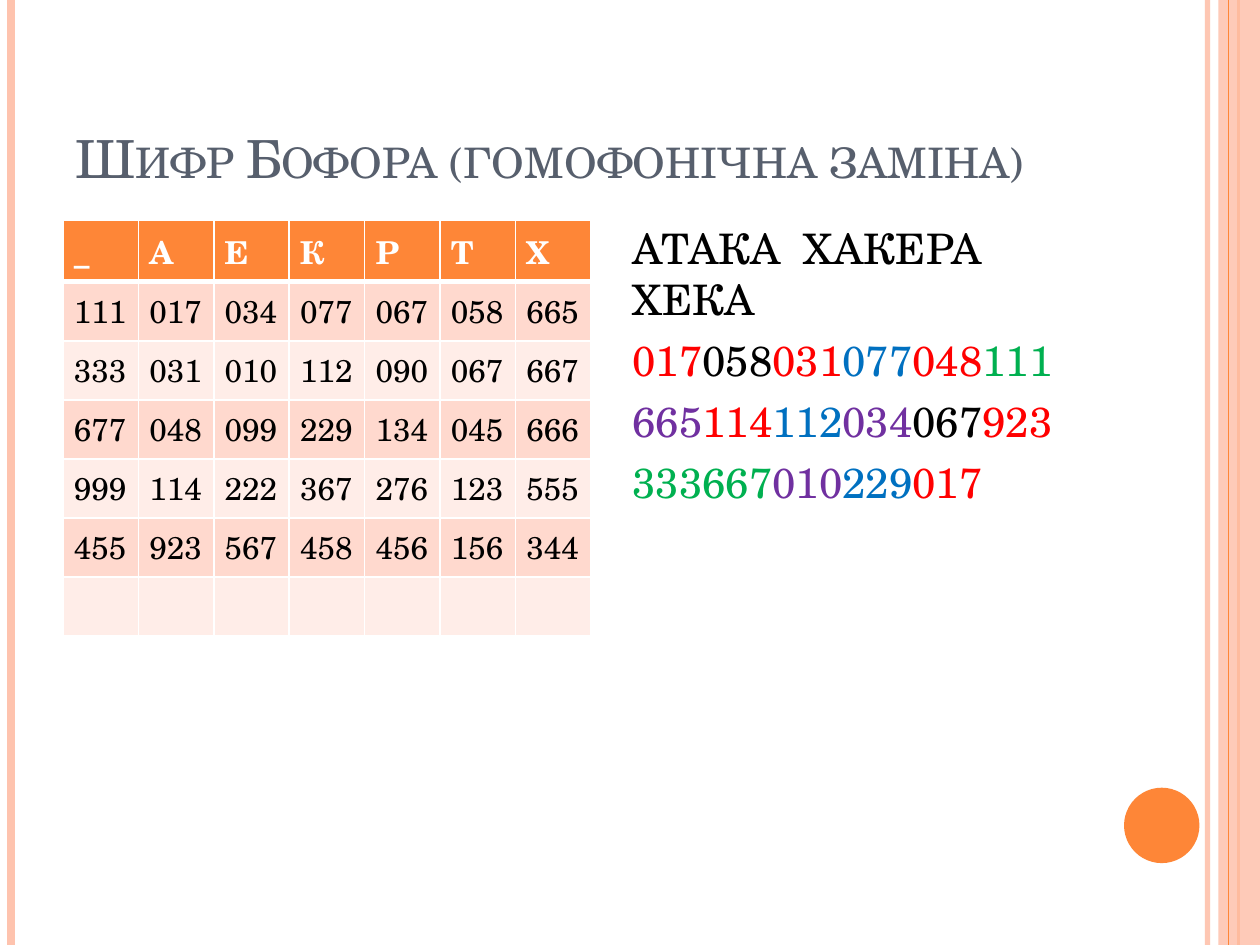
"""Builds the slide on the Beaufort homophonic cipher."""
import enum
import pptx
import pptx.dml.color
import pptx.enum.shapes
import pptx.enum.text
import pptx.oxml
import pptx.oxml.ns
import pptx.util

Cm = pptx.util.Cm
Pt = pptx.util.Pt
space = pptx.oxml.ns.nsdecls("a")


class Theme(enum.Enum):
    FONT = "TeX Gyre Schola"
    TITLE = 30
    BODY = 24
    CELL = 18
    ORANGE = "FE8637"
    PEACH = "FEC3AE"
    SLATE = "575F6D"
    WHITE = "FFFFFF"
    BANDS = ("FFEDE8", "FFD9CE")
    INKS = {"k": "000000", "r": "FF0000", "b": "0070C0", "g": "00B050", "p": "7030A0"}


def rgb(code):
    return pptx.dml.color.RGBColor.from_string(code)


def style(para, size, code=None, bold=False):
    font = para.font
    font.name, font.size, font.bold = Theme.FONT.value, Pt(size.value), bold
    if code:
        font.color.rgb = rgb(code)


deck = pptx.Presentation()
deck.slide_width, deck.slide_height = Cm(25.4), Cm(19.05)
slide = deck.slides.add_slide(deck.slide_layouts[6])
shapes = slide.shapes
kinds = pptx.enum.shapes.MSO_SHAPE
link = pptx.enum.shapes.MSO_CONNECTOR.STRAIGHT

decor = [
    (None, 24.34, 0, 3, 19.05, Theme.PEACH, 93),
    (None, 0.22, 0, 4.5, 19.05, Theme.PEACH, 100),
    (None, 24.97, 0, 1.5, 19.05, Theme.ORANGE, 100),
    (kinds.RECTANGLE, 24.56, 0, 0.84, 19.05, Theme.PEACH, 87),
    (None, 24.77, 0, 0.75, 19.05, Theme.ORANGE, 100),
    (kinds.OVAL, 22.66, 15.88, 1.52, 1.52, Theme.ORANGE, 100),
]
for kind, left, top, width, height, tone, alpha in decor:
    if kind is None:
        shape = shapes.add_connector(link, Cm(left), Cm(top), Cm(left), Cm(height))
        shape.line.color.rgb = rgb(tone.value)
        shape.line.width = Pt(width)
        shape.element.spPr.append(pptx.oxml.parse_xml(f"<a:effectLst {space}/>"))
    else:
        shape = shapes.add_shape(kind, Cm(left), Cm(top), Cm(width), Cm(height))
        shape.shadow.inherit = False
        shape.fill.solid()
        shape.fill.fore_color.rgb = rgb(tone.value)
        shape.line.fill.background()
    if alpha < 100:
        color = shape.element.spPr.find(".//" + pptx.oxml.ns.qn("a:srgbClr"))
        color.append(pptx.oxml.parse_xml(f'<a:alpha {space} val="{alpha * 1000}"/>'))

title = shapes.add_textbox(Cm(1.27), Cm(0.76), Cm(20.75), Cm(3.18)).text_frame
title.word_wrap = True
title.vertical_anchor = pptx.enum.text.MSO_ANCHOR.BOTTOM
head = title.paragraphs[0]
run = head.add_run()
run.text = "Шифр Бофора (гомофонічна заміна)"
run.font._element.set("cap", "small")
style(head, Theme.TITLE, Theme.SLATE.value)

rows = [line.split() for line in (
    "_ А Е К Р Т Х",
    "111 017 034 077 067 058 665",
    "333 031 010 112 090 067 667",
    "677 048 099 229 134 045 666",
    "999 114 222 367 276 123 555",
    "455 923 567 458 456 156 344",
)] + [[""] * 7]
table = shapes.add_table(7, 7, Cm(1.27), Cm(4.45), Cm(10.64), Cm(8.33)).table
table.horz_banding = False
table.rows[0].height = Cm(1.23)
for y, row in enumerate(rows):
    for x, text in enumerate(row):
        cell = table.cell(y, x)
        cell.text = text
        cell.margin_left = cell.margin_right = Cm(0.22)
        code = Theme.INKS.value["k"] if y else Theme.WHITE.value
        style(cell.text_frame.paragraphs[0], Theme.CELL, code, y == 0)
        props = cell._tc.get_or_add_tcPr()
        for side in "LRTB":
            thick = (y, side) in ((0, "B"), (1, "T"))
            props.append(pptx.oxml.parse_xml(
                f'<a:ln{side} {space} w="{Pt(3 if thick else 1)}">'
                f'<a:solidFill><a:srgbClr val="{Theme.WHITE.value}"/></a:solidFill>'
                f'</a:ln{side}>'))
        cell.fill.solid()
        cell.fill.fore_color.rgb = rgb(Theme.BANDS.value[y % 2] if y else Theme.ORANGE.value)

lines = [
    [("АТАКА  ХАКЕРА ХЕКА", "k")],
    zip("017 058 031 077 048 111".split(), "rkrbrg"),
    zip("665 114 112 034 067 923".split(), "prbpkr"),
    zip("333667 010 229 017".split(), "gpbr"),
]
body = shapes.add_textbox(Cm(12.5), Cm(4.37), Cm(10.16), Cm(12.7)).text_frame
body.word_wrap = True
for i, line in enumerate(lines):
    para = body.add_paragraph() if i else body.paragraphs[0]
    para.space_before = Pt(6)
    style(para, Theme.BODY)
    for text, ink in line:
        run = para.add_run()
        run.text = text
        run.font.color.rgb = rgb(Theme.INKS.value[ink])

deck.save("out.pptx")
